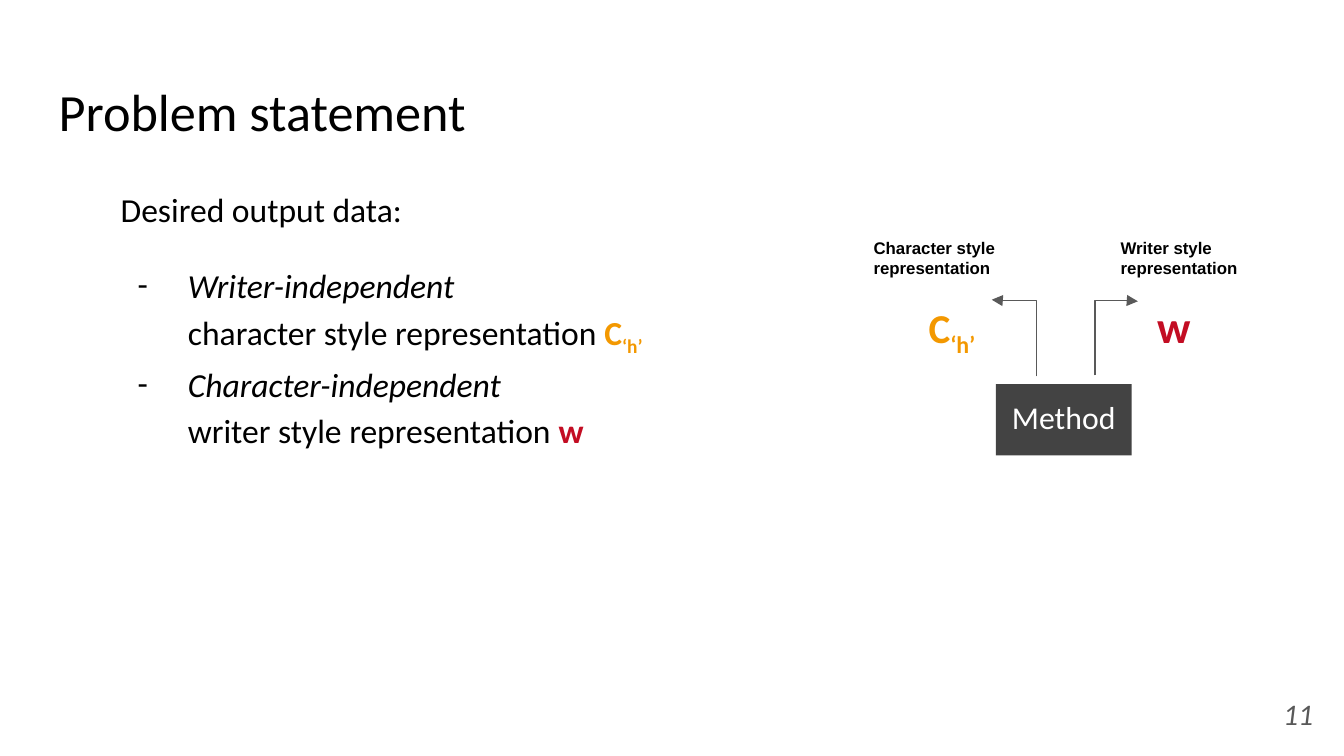
from lxml.etree import SubElement
from pptx import Presentation
from pptx.dml.color import RGBColor
from pptx.enum.shapes import MSO_CONNECTOR, MSO_SHAPE
from pptx.enum.text import MSO_ANCHOR, MSO_AUTO_SIZE, PP_ALIGN
from pptx.oxml.ns import qn
from pptx.util import Cm, Pt

COLORS = {"black": "000000", "white": "FFFFFF", "gray": "595959",
          "dark": "434343", "orange": "F39800", "red": "C30D23"}


class Deck:
    """Holds the style and the current slide, and draws each kind of element."""

    def __init__(self):
        self.prs = Presentation()
        self.prs.slide_width, self.prs.slide_height = Cm(25.4), Cm(14.29)
        self.slide = self.prs.slides.add_slide(self.prs.slide_layouts[1])
        self.shapes = self.slide.shapes

    def color(self, name):
        return RGBColor.from_string(COLORS[name])

    def frame(self, shape, anchor=MSO_ANCHOR.TOP):
        frame = shape.text_frame
        frame.word_wrap = True
        frame.auto_size = MSO_AUTO_SIZE.NONE
        frame.vertical_anchor = anchor
        frame.margin_left = frame.margin_right = Cm(0.25)
        frame.margin_top = frame.margin_bottom = Cm(0.25)
        return frame

    def place(self, shape, box):
        shape.left, shape.top, shape.width, shape.height = map(Cm, box)

    def fill_para(self, para, runs, size, color="black", face="Calibri",
                  bold=False, italic=False, align=PP_ALIGN.LEFT, line=1.0,
                  before=0, after=0, indent=(0, 0), bullet=None):
        para.alignment, para.line_spacing = align, line
        para.space_before, para.space_after = Pt(before), Pt(after)
        props = para._p.get_or_add_pPr()
        props.set("marL", str(Cm(indent[0])))
        props.set("indent", str(Cm(indent[1])))
        if bullet:
            tint = SubElement(props, qn("a:buClr"))
            SubElement(tint, qn("a:srgbClr"), val=COLORS["black"])
            SubElement(props, qn("a:buFont"), typeface=face)
            SubElement(props, qn("a:buChar"), char=bullet)
        else:
            SubElement(props, qn("a:buNone"))
        font = para.font
        font.size, font.name = Pt(size), face
        font.bold, font.italic = bold, italic
        font.color.rgb = self.color(color)
        for text, look in runs:
            if text == "\n":
                para.add_line_break()
                SubElement(para._p[-1], qn("a:rPr"), sz=str(size * 100))
                continue
            run = para.add_run()
            run.text = text
            if "italic" in look:
                run.font.italic = True
            if "color" in look:
                run.font.bold = True
                run.font.color.rgb = self.color(look["color"])
            if "base" in look:
                run._r.get_or_add_rPr().set("baseline", str(look["base"] * 1000))

    def title(self, box, text):
        shape = self.shapes.title
        self.place(shape, box)
        self.fill_para(self.frame(shape).paragraphs[0], [(text, {})], 28)

    def body(self, box, items):
        shape = self.slide.placeholders[1]
        self.place(shape, box)
        frame = self.frame(shape)
        for i, (runs, style) in enumerate(items):
            para = frame.add_paragraph() if i else frame.paragraphs[0]
            self.fill_para(para, runs, 18, line=1.15, **style)

    def text(self, box, runs, size, anchor=MSO_ANCHOR.TOP, **style):
        shape = self.shapes.add_textbox(*map(Cm, box))
        self.fill_para(self.frame(shape, anchor).paragraphs[0], runs, size, **style)

    def block(self, box, text):
        shape = self.shapes.add_shape(MSO_SHAPE.RECTANGLE, *map(Cm, box))
        shape.shadow.inherit = False
        shape.fill.solid()
        shape.fill.fore_color.rgb = self.color("dark")
        shape.line.fill.background()
        self.fill_para(self.frame(shape).paragraphs[0], [(text, {})], 17,
                       color="white", align=PP_ALIGN.CENTER)

    def arrow(self, box, turn, flip, bend):
        x, y, w, h = box
        link = self.shapes.add_connector(
            MSO_CONNECTOR.ELBOW, Cm(x), Cm(y), Cm(x + w), Cm(y + h))
        link.line.width = Pt(0.75)
        link.line.color.rgb = self.color("gray")
        props = link._element.spPr
        SubElement(props.find(qn("a:ln")), qn("a:tailEnd"), type="triangle")
        SubElement(props, qn("a:effectLst"))
        frame = props.find(qn("a:xfrm"))
        frame.set("rot", str(turn * 60000))
        if flip:
            frame.set("flipH", "1")
        guides = props.find(qn("a:prstGeom")).get_or_add_avLst()
        SubElement(guides, qn("a:gd"), name="adj1", fmla=f"val {bend * 1000}")


def main():
    deck = Deck()
    sub = ("‘h’", {"color": "orange", "base": -25})
    char = [("C", {"color": "orange"}), sub]
    writer = [("w", {"color": "red"})]
    item = {"indent": (1.27, -0.95), "bullet": "-"}

    deck.title((0.86, 1.24, 23.67, 1.6), "Problem statement")
    deck.body((2.03, 3.2, 22.5, 9.5), [
        ([("Desired output data:", {})], {}),
        ([("Writer-independent ", {"italic": True}), ("\n", {}),
          ("character style representation ", {}), *char],
         {**item, "before": 16}),
        ([("Character-independent", {"italic": True}), ("\n", {}),
          ("writer style representation ", {}), *writer], item),
    ])
    deck.text((23.55, 12.95, 1.52, 1.09), [("11", {})], 16, MSO_ANCHOR.MIDDLE,
              color="gray", italic=True, align=PP_ALIGN.RIGHT)

    for x, kind in ((16.26, "Character"), (20.93, "Writer")):
        deck.text((x, 4.24, 3.86, 1.78), [(f"{kind} style representation", {})],
                  9, face="Arial", bold=True)
    mark = {"indent": (1.27, 0), "line": 1.5, "after": 16}
    deck.text((20.35, 4.88, 2.69, 1.65), writer, 24, **mark)
    deck.block((18.82, 7.26, 2.57, 1.35), "Method")
    deck.text((16.03, 4.93, 3.56, 1.96), char, 22, **mark)
    deck.arrow((18.44, 5.97, 1.45, 0.84), 90, True, 99)
    deck.arrow((20.4, 5.99, 1.4, 0.81), 270, False, 101)
    deck.prs.save("out.pptx")


if __name__ == "__main__":
    main()
